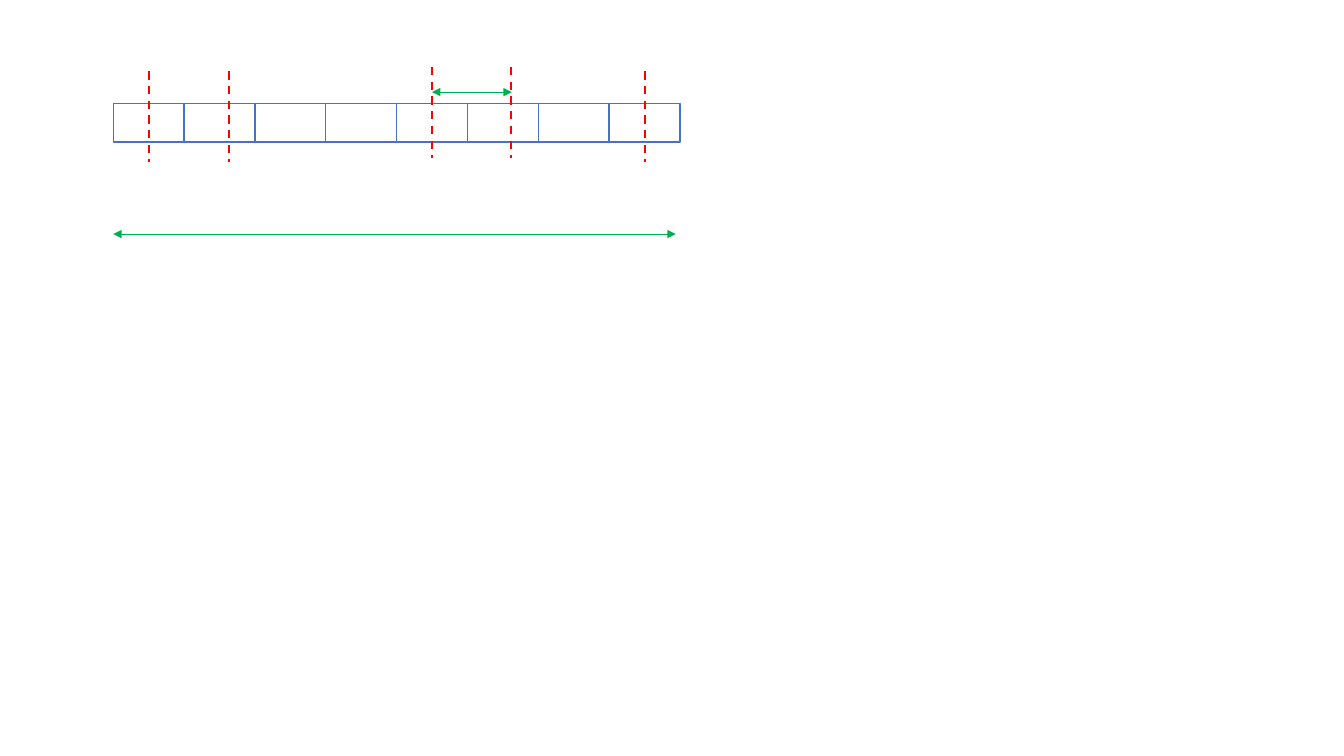
from dataclasses import dataclass

from lxml import etree
from pptx import Presentation
from pptx.dml import color
from pptx.enum import dml, shapes
from pptx.oxml import ns
from pptx.util import Pt


@dataclass(frozen=True)
class Theme:
    cell: color.RGBColor = color.RGBColor(0x44, 0x72, 0xC4)
    cut: color.RGBColor = color.RGBColor(0xFF, 0x00, 0x00)
    span: color.RGBColor = color.RGBColor(0x00, 0xB0, 0x50)
    cell_width: float = 1
    cut_width: float = 1.5
    span_width: float = 0.5


class Diagram:
    def __init__(self, slide, theme):
        self.slide = slide
        self.theme = theme

    def cell(self, left, top, width, height):
        shape = self.slide.shapes.add_shape(
            shapes.MSO_SHAPE.RECTANGLE, Pt(left), Pt(top), Pt(width), Pt(height))
        shape.shadow.inherit = False
        shape.fill.background()
        shape.line.color.rgb = self.theme.cell
        shape.line.width = Pt(self.theme.cell_width)

    def line(self, parent, start, end, line_color, width):
        connector = parent.add_connector(
            shapes.MSO_CONNECTOR.STRAIGHT, *(Pt(value) for value in start + end))
        connector.line.color.rgb = line_color
        connector.line.width = Pt(width)
        etree.SubElement(connector._element.spPr, ns.qn("a:effectLst"))
        return connector

    def span(self, left, right, y):
        """Draw a horizontal arrow with a head at both ends."""
        connector = self.line(self.slide.shapes, (left, y), (right, y),
                              self.theme.span, self.theme.span_width)
        outline = connector.line._get_or_add_ln()
        for end in ("a:headEnd", "a:tailEnd"):
            etree.SubElement(outline, ns.qn(end), type="triangle")

    def cut(self, parent, x, top, height):
        connector = self.line(parent, (x, top), (x, top + height),
                              self.theme.cut, self.theme.cut_width)
        connector.line.dash_style = dml.MSO_LINE.DASH

    def cut_pair(self, positions, top, height):
        group = self.slide.shapes.add_group_shape()
        for x in positions:
            self.cut(group.shapes, x, top, height)


def main():
    presentation = Presentation()
    presentation.slide_width, presentation.slide_height = Pt(960), Pt(540)
    slide = presentation.slides.add_slide(presentation.slide_layouts[6])
    diagram = Diagram(slide, Theme())

    # Row of eight cells
    row_left, row_top, cell_width, cell_height = 80.9, 74, 50.6, 27.5
    for column in range(8):
        diagram.cell(row_left + column * cell_width, row_top, cell_width, cell_height)

    # Distance between the middle cuts
    diagram.span(308.6, 365.6, 65.8)

    # Dashed cuts through the row
    cut_height = 65.2
    diagram.cut_pair((308.6, 365.2), 47.8, cut_height)
    diagram.cut_pair((106.4, 163.4), 50.8, cut_height)
    diagram.cut(slide.shapes, 460.8, 50.8, cut_height)

    # Full length of the row
    diagram.span(row_left, 482.6, 167.2)

    presentation.save("out.pptx")


if __name__ == "__main__":
    main()
